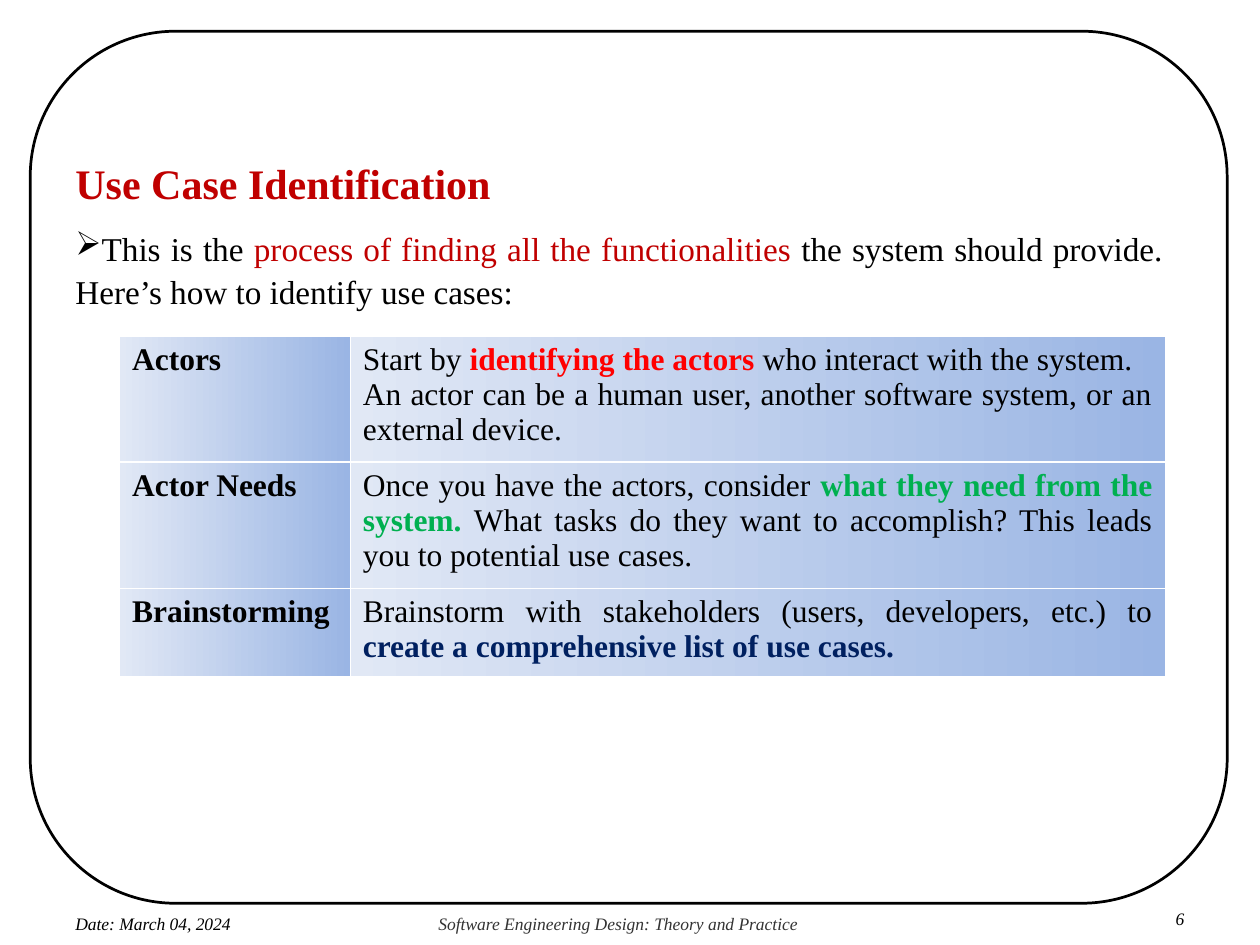
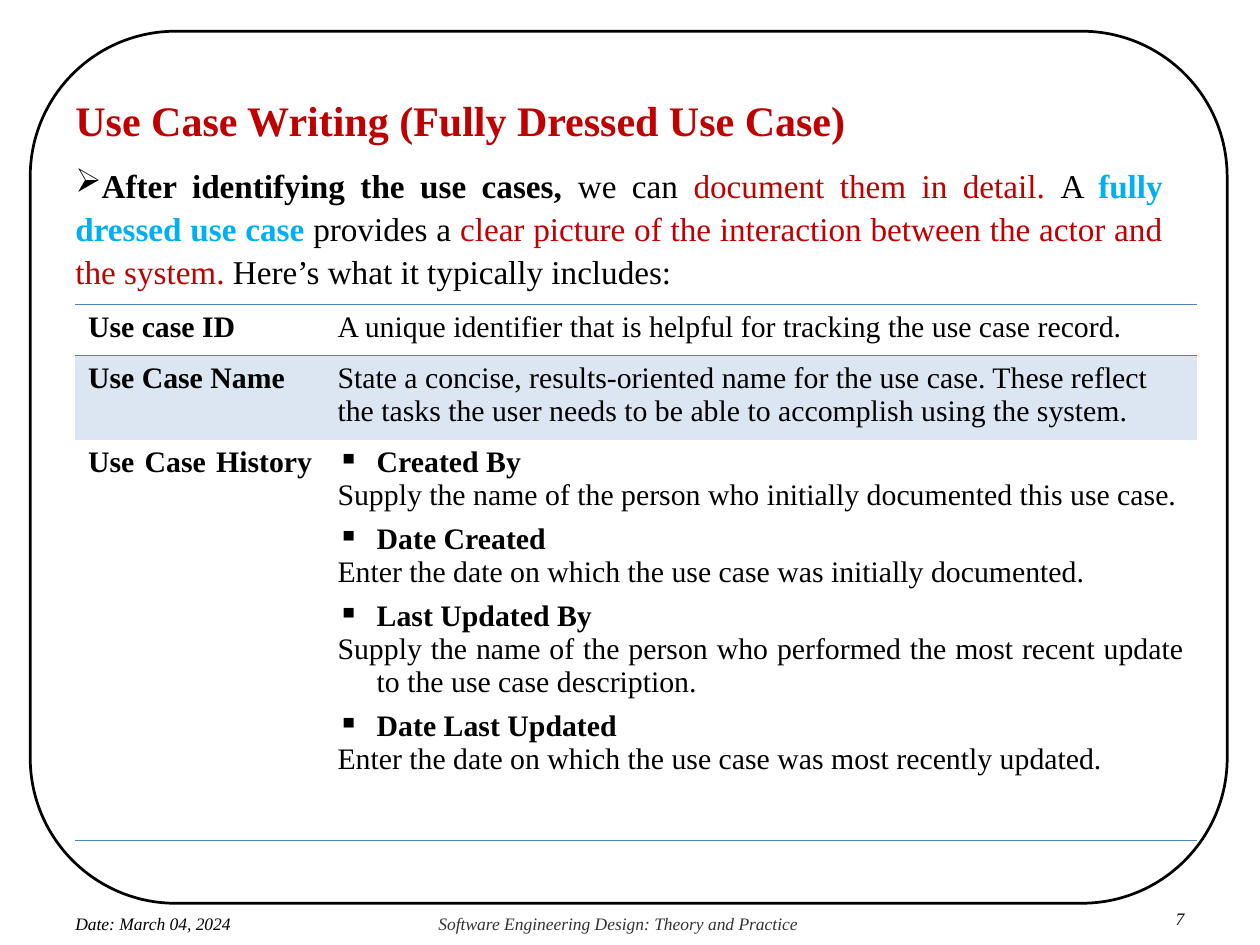
from lxml.etree import SubElement
from pptx import Presentation
from pptx.dml.color import RGBColor
from pptx.enum.shapes import MSO_SHAPE
from pptx.enum.text import MSO_ANCHOR, MSO_AUTO_SIZE, PP_ALIGN
from pptx.oxml.ns import qn
from pptx.util import Cm, Pt

# Shared style
FONT = "Times New Roman"
BLACK, WHITE, GREY = "000000", "FFFFFF", "333333"
CRIMSON, RED, GREEN, NAVY, SKY = "C00000", "FF0000", "00B050", "002060", "00B0F0"
GRADIENT = ("9AB5E4", "E1E8F5")
RULE_BLUE, BAND_BLUE = "4F81BD", "DCE6F2"
LEFT, TEXT_WIDTH = 1.52, 21.92
LOOSE = 1.08
JUSTIFY = PP_ALIGN.JUSTIFY


def rgb(hex_color):
    return RGBColor.from_string(hex_color)


def add_bullet(paragraph, symbol):
    properties = paragraph._p.get_or_add_pPr()
    bullet_color = SubElement(properties, qn("a:buClr"))
    SubElement(bullet_color, qn("a:srgbClr"), val=BLACK)
    SubElement(properties, qn("a:buChar"), char=symbol)


def set_indent(paragraph, left, first):
    properties = paragraph._p.get_or_add_pPr()
    properties.set("marL", str(int(Cm(left))))
    properties.set("indent", str(int(Cm(first))))


def write(frame, text, size=18, color=BLACK, bold=False, italic=False,
          align=PP_ALIGN.LEFT, bullet=None, hanging=0, spacing=None, after=0):
    """Add a paragraph; text is a string or a list of (text, color, bold)."""
    first = frame.paragraphs[0]
    paragraph = frame.add_paragraph() if first.runs else first
    if bullet:
        add_bullet(paragraph, bullet)
    if hanging:
        set_indent(paragraph, hanging, -hanging)
    paragraph.alignment = align
    paragraph.space_after = Pt(after)
    if spacing:
        paragraph.line_spacing = spacing
    parts = [(text, color, bold)] if isinstance(text, str) else text
    for words, part_color, part_bold in parts:
        run = paragraph.add_run()
        run.text = words
        font = run.font
        font.name, font.size = FONT, Pt(size)
        font.bold, font.italic = part_bold, italic
        font.color.rgb = rgb(part_color)


def clear_margins(frame, top=0):
    frame.word_wrap = True
    frame.auto_size = MSO_AUTO_SIZE.NONE
    frame.vertical_anchor = MSO_ANCHOR.TOP
    frame.margin_left = frame.margin_right = frame.margin_bottom = 0
    frame.margin_top = Cm(top)


def add_text(slide, left, top, width, height, text, **style):
    box = slide.shapes.add_textbox(Cm(left), Cm(top), Cm(width), Cm(height))
    clear_margins(box.text_frame)
    write(box.text_frame, text, **style)


def add_border_frame(slide):
    border = slide.shapes.add_shape(MSO_SHAPE.ROUNDED_RECTANGLE,
                                    Cm(0.61), Cm(0.63), Cm(24.13), Cm(17.58))
    border.shadow.inherit = False
    border.fill.background()
    border.line.color.rgb = rgb(BLACK)
    border.line.width = Pt(1.56)


def add_footer(slide, number):
    style = dict(size=10, italic=True, spacing=Pt(11.8))
    add_text(slide, LEFT, 18.42, 4, 0.41, "Date: March 04, 2024", **style)
    add_text(slide, 8.84, 18.42, 7.4, 0.41,
             "Software Engineering Design: Theory and Practice", color=GREY, **style)
    add_text(slide, 23.7, 18.31, 0.6, 0.41, str(number), **style)


def add_topic_slide(deck, number, top, title, intro):
    slide = deck.slides.add_slide(deck.slide_layouts[5])
    add_border_frame(slide)
    heading = slide.shapes.title
    heading.left, heading.top = Cm(LEFT), Cm(top)
    heading.width, heading.height = Cm(TEXT_WIDTH), Cm(1.2)
    clear_margins(heading.text_frame, top=0.13)
    write(heading.text_frame, title, size=24, color=CRIMSON, bold=True, spacing=LOOSE)
    add_text(slide, LEFT, top + 1.56, TEXT_WIDTH, 1.6, intro, size=19,
             align=JUSTIFY, bullet="➢", spacing=LOOSE)
    add_footer(slide, number)
    return slide


def add_table(slide, left, top, widths, heights):
    frame = slide.shapes.add_table(len(heights), len(widths), Cm(left), Cm(top),
                                   Cm(sum(widths)), Cm(sum(heights)))
    table = frame.table
    table.first_row = table.horz_banding = False
    for column, width in zip(table.columns, widths):
        column.width = Cm(width)
    for row, height in zip(table.rows, heights):
        row.height = Cm(height)
    return table


def set_borders(cell, color, left=0, right=0, top=0, bottom=0):
    """Draw the sides that have a width in points and blank out the others."""
    properties = cell._tc.get_or_add_tcPr()
    for side, width in zip("LRTB", (left, right, top, bottom)):
        line = SubElement(properties, qn(f"a:ln{side}"), w=str(int(Pt(width))))
        if width:
            fill = SubElement(line, qn("a:solidFill"))
            SubElement(fill, qn("a:srgbClr"), val=color)
        else:
            SubElement(line, qn("a:noFill"))


def fill_gradient(cell):
    cell.fill.gradient()
    cell.fill.gradient_angle = 180
    for stop, color in zip(cell.fill.gradient_stops, GRADIENT):
        stop.color.rgb = rgb(color)


def add_identification_table(slide):
    steps = [
        ("Actors", [
            [("Start by ", BLACK, False), ("identifying the actors ", RED, True),
             ("who interact with the system.", BLACK, False)],
            "An actor can be a human user, another software system, "
            "or an external device."]),
        ("Actor Needs", [
            [("Once you have the actors, consider ", BLACK, False),
             ("what they need from the system. ", GREEN, True),
             ("What tasks do they want to accomplish? This leads you to "
              "potential use cases.", BLACK, False)]]),
        ("Brainstorming", [
            [("Brainstorm with stakeholders (users, developers, etc.) to ", BLACK, False),
             ("create a comprehensive list of use cases.", NAVY, True)]]),
    ]
    table = add_table(slide, 2.41, 6.78, (4.65, 16.43), (2.54, 2.54, 1.78))
    thin, thick = 0.45, 1.47
    for index, (step, advice) in enumerate(steps):
        step_cell, advice_cell = table.rows[index].cells
        for cell in (step_cell, advice_cell):
            set_borders(cell, WHITE, thin, thin, top=thick if index == 1 else thin,
                        bottom=thick if index == 0 else thin)
            fill_gradient(cell)
        write(step_cell.text_frame, step, bold=True)
        for paragraph in advice:
            write(advice_cell.text_frame, paragraph, align=JUSTIFY)


def add_template_table(slide):
    fields = [
        ("Use case ID",
         "A unique identifier that is helpful for tracking the use case record."),
        ("Use Case Name",
         "State a concise, results-oriented name for the use case. These reflect "
         "the tasks the user needs to be able to accomplish using the system."),
        ("Use Case History ", None),
    ]
    history = [
        ("Created By",
         "Supply the name of the person who initially documented this use case."),
        ("Date Created",
         "Enter the date on which the use case was initially documented."),
        ("Last Updated By",
         "Supply the name of the person who performed the most recent update "
         "to the use case description."),
        ("Date Last Updated",
         "Enter the date on which the use case was most recently updated."),
    ]
    table = add_table(slide, LEFT, 6.13, (5.03, 17.58), (1.03, 1.7, 8.08))
    rule = 0.45
    rules = [dict(top=rule, bottom=rule), dict(top=rule), dict(bottom=rule)]
    for index, (field, meaning) in enumerate(fields):
        field_cell, meaning_cell = table.rows[index].cells
        for cell in (field_cell, meaning_cell):
            set_borders(cell, RULE_BLUE, **rules[index])
            if index == 1:
                cell.fill.solid()
                cell.fill.fore_color.rgb = rgb(BAND_BLUE)
            else:
                cell.fill.background()
        write(field_cell.text_frame, field, size=17, bold=True, align=JUSTIFY)
        if meaning:
            write(meaning_cell.text_frame, meaning, size=17)

    # Entries of the history field
    history_frame = table.cell(2, 1).text_frame
    style = dict(size=17, align=JUSTIFY, hanging=0.79)
    for entry, instruction in history:
        write(history_frame, entry, bold=True, bullet="▪", **style)
        write(history_frame, instruction, after=6, **style)


def main():
    deck = Presentation()
    deck.slide_width, deck.slide_height = Cm(25.4), Cm(19.05)

    # Use case identification
    identification = add_topic_slide(deck, 6, 2.97, "Use Case Identification", [
        ("This is the ", BLACK, False),
        ("process of finding all the functionalities", CRIMSON, False),
        (" the system should provide. Here’s how to identify use cases:", BLACK, False)])
    add_identification_table(identification)

    # Use case writing
    writing = add_topic_slide(deck, 7, 1.7, "Use Case Writing (Fully Dressed Use Case)", [
        ("After identifying the use cases, ", BLACK, True),
        ("we can ", BLACK, False),
        ("document them in detail. ", CRIMSON, False),
        ("A ", BLACK, False),
        ("fully dressed use case", SKY, True),
        (" provides a ", BLACK, False),
        ("clear picture of the interaction between the actor and the system. ",
         CRIMSON, False),
        ("Here’s what it typically includes:", BLACK, False)])
    add_template_table(writing)

    deck.save("out.pptx")


if __name__ == "__main__":
    main()
